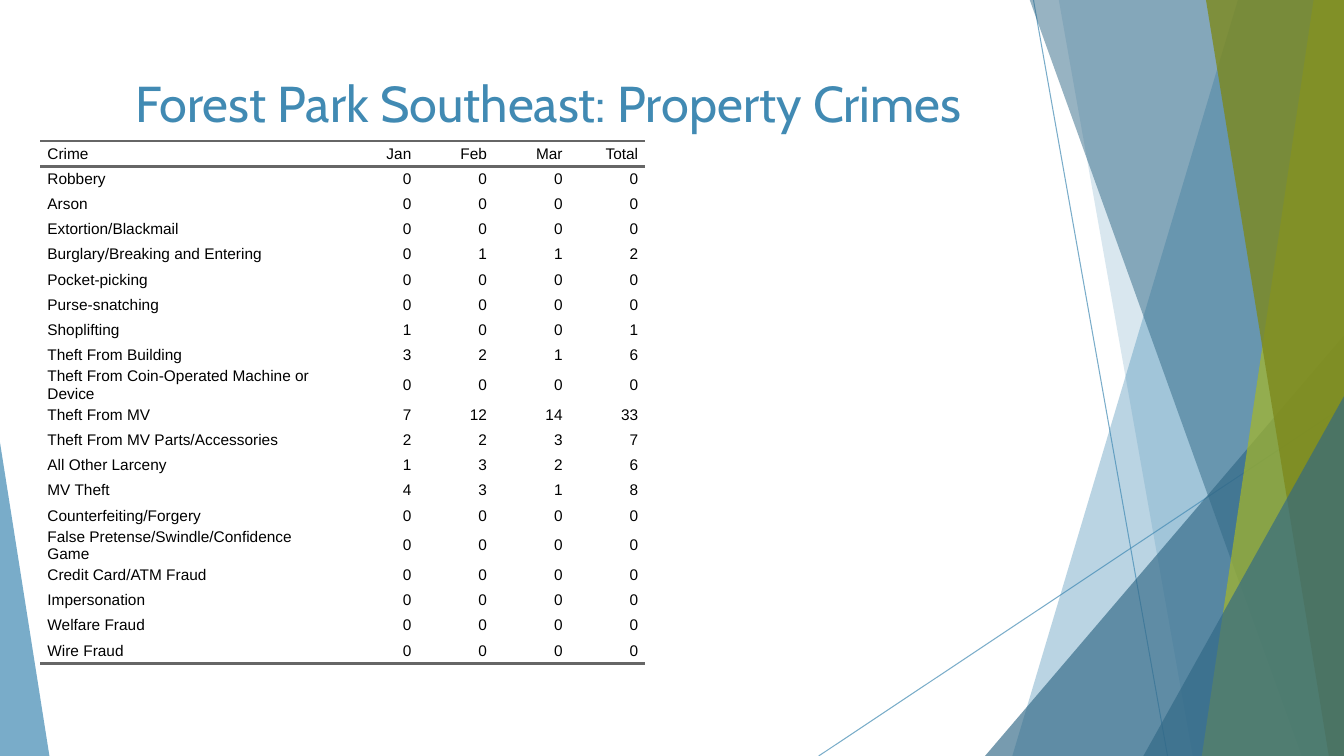
from dataclasses import dataclass

from lxml.etree import SubElement
from pptx import Presentation
from pptx.dml.color import RGBColor as RGB
from pptx.enum.shapes import MSO_CONNECTOR as CONN, MSO_SHAPE as SHAPE
from pptx.enum.text import MSO_ANCHOR as ANCHOR, MSO_AUTO_SIZE as FIT, PP_ALIGN as ALIGN
from pptx.oxml.ns import qn
from pptx.util import Inches, Pt


@dataclass(frozen=True)
class Theme:
    blue: str = "418AB3"
    navy: str = "316886"
    lime: str = "A6B727"
    olive: str = "7D891D"
    text: str = "000000"
    rule: str = "666666"
    title_font: str = "Cabin"
    body_font: str = "Arial"
    title_size: int = 36
    body_size: int = 11
    rule_width: int = 2


T = Theme()
WIDTH, HEIGHT = 13.33, 7.5
NO_GRID_STYLE = "{2D5ABB26-0587-4C30-8999-92F81FD0307C}"

MONTHS = ["Jan", "Feb", "Mar"]
CRIMES = [
    ("Robbery", 0, 0, 0),
    ("Arson", 0, 0, 0),
    ("Extortion/Blackmail", 0, 0, 0),
    ("Burglary/Breaking and Entering", 0, 1, 1),
    ("Pocket-picking", 0, 0, 0),
    ("Purse-snatching", 0, 0, 0),
    ("Shoplifting", 1, 0, 0),
    ("Theft From Building", 3, 2, 1),
    ("Theft From Coin-Operated Machine or Device", 0, 0, 0),
    ("Theft From MV", 7, 12, 14),
    ("Theft From MV Parts/Accessories", 2, 2, 3),
    ("All Other Larceny", 1, 3, 2),
    ("MV Theft", 4, 3, 1),
    ("Counterfeiting/Forgery", 0, 0, 0),
    ("False Pretense/Swindle/Confidence Game", 0, 0, 0),
    ("Credit Card/ATM Fraud", 0, 0, 0),
    ("Impersonation", 0, 0, 0),
    ("Welfare Fraud", 0, 0, 0),
    ("Wire Fraud", 0, 0, 0),
]


def set_alpha(sp, percent):
    for clr in sp._element.spPr.iter(qn("a:srgbClr")):
        SubElement(clr, qn("a:alpha"), val=str(percent * 1000))


def paint(sp, color, percent):
    sp.shadow.inherit = False
    sp.fill.solid()
    sp.fill.fore_color.rgb = RGB.from_string(color)
    sp.line.fill.background()
    set_alpha(sp, percent)


def add_run(p, text, font, size, color):
    r = p.add_run()
    r.text = text
    r.font.name, r.font.size = font, Pt(size)
    r.font.color.rgb = RGB.from_string(color)


def add_facets(s, x, y, w, h):
    """Translucent facets along the right edge and in the left corner."""
    right, bottom = x + w, y + h

    def ray(x1, y1, x2, y2):
        c = s.shapes.add_connector(CONN.STRAIGHT, *map(Inches, (x1, y1, x2, y2)))
        c.line.width = Pt(0.75)
        c.line.color.rgb = RGB.from_string(T.blue)
        set_alpha(c, 70)
        SubElement(c._element.spPr, qn("a:effectLst"))

    def band(top_x, bottom_x, color, percent):
        top = y - 0.01
        pts = [(top_x, top), (right, top), (right, bottom), (bottom_x, bottom)]
        pts = [(Inches(px), Inches(py)) for px, py in pts]
        builder = s.shapes.build_freeform(*pts[0])
        builder.add_line_segments(pts[1:], close=True)
        paint(builder.convert_to_shape(), color, percent)

    def corner(left, width, height, apex, color, percent):
        box = map(Inches, (left, bottom - height, width, height))
        sp = s.shapes.add_shape(SHAPE.ISOSCELES_TRIANGLE, *box)
        sp.adjustments[0] = apex
        paint(sp, color, percent)

    ray(x + 10.25, y, x + 11.58, bottom)
    ray(right, y + 4.03, x + 8.12, bottom)
    band(x + 12.28, x + 10.04, T.blue, 36)
    band(x + 10.5, x + 11.83, T.blue, 20)
    corner(right - 3.56, 3.56, 4.17, 1, T.navy, 66)
    band(x + 10.21, x + 12.91, T.navy, 50)
    band(x + 13.03, x + 11.92, T.lime, 70)
    band(x + 11.96, x + 13.18, T.olive, 80)
    corner(right - 1.99, 1.99, 3.57, 1, T.navy, 66)
    corner(x, 0.49, 3.11, 0, T.blue, 70)


def add_rule(cell, side):
    """Draw a cell border; rules go ahead of the fill in the cell properties."""
    tc_pr = cell._tc.get_or_add_tcPr()
    ln = SubElement(tc_pr, qn(f"a:{side}"), w=str(Pt(T.rule_width)))
    SubElement(SubElement(ln, qn("a:solidFill")), qn("a:srgbClr"), val=T.rule)
    SubElement(ln, qn("a:prstDash"), val="solid")


def fill_cell(cell, text, align, rules):
    cell.margin_left = cell.margin_right = cell.margin_top = cell.margin_bottom = 0
    cell.vertical_anchor = ANCHOR.MIDDLE
    for side in rules:
        add_rule(cell, side)
    cell.fill.background()
    p = cell.text_frame.paragraphs[0]
    p.alignment = align
    p.space_before = p.space_after = Pt(5)
    for margin in ("marL", "marR"):
        p._p.get_or_add_pPr().set(margin, str(Inches(0.07)))
    p._p.get_or_add_pPr().set("indent", "0")
    add_run(p, text, T.body_font, T.body_size, T.text)


def add_crime_table(s, x, y, w, row_h):
    rows = [("Crime", *MONTHS, "Total")]
    rows += [(name, *counts, sum(counts)) for name, *counts in CRIMES]
    n_rows, n_cols = len(rows), len(rows[0])
    box = map(Inches, (x, y, w, row_h * n_rows))
    table = s.shapes.add_table(n_rows, n_cols, *box).table
    table.first_row = table.horz_banding = False
    table._tbl.tblPr.find(qn("a:tableStyleId")).text = NO_GRID_STYLE

    # The label column takes half the width, the numbers share the rest
    for i, col in enumerate(table.columns):
        col.width = Inches(w / 2 if i == 0 else w / 2 / (n_cols - 1))
    for row in table.rows:
        row.height = Inches(row_h)

    rules = {0: ("lnT", "lnB"), n_rows - 1: ("lnB",)}
    for i, row in enumerate(rows):
        for j, value in enumerate(row):
            align = ALIGN.RIGHT if j else ALIGN.LEFT
            fill_cell(table.cell(i, j), str(value), align, rules.get(i, ()))


def add_title(s, text, x, y, w, h):
    title = s.shapes.title
    title.left, title.top, title.width, title.height = map(Inches, (x, y, w, h))
    tf = title.text_frame
    tf.word_wrap, tf.auto_size, tf.vertical_anchor = True, FIT.NONE, ANCHOR.TOP
    p = tf.paragraphs[0]
    p.alignment = ALIGN.CENTER
    add_run(p, text, T.title_font, T.title_size, T.blue)
    # Bring the title in front of the facets and the table
    title._element.getparent().append(title._element)


def main():
    prs = Presentation()
    prs.slide_width, prs.slide_height = Inches(WIDTH), Inches(HEIGHT)
    s = prs.slides.add_slide(prs.slide_layouts[5])
    add_facets(s, 0, 0, WIDTH, HEIGHT)
    add_crime_table(s, 0.4, 1.4, 6, 0.25)
    add_title(s, "Forest Park Southeast: Property Crimes", 0.74, 0.67, 9.4, 1.44)
    prs.save("out.pptx")


if __name__ == "__main__":
    main()
